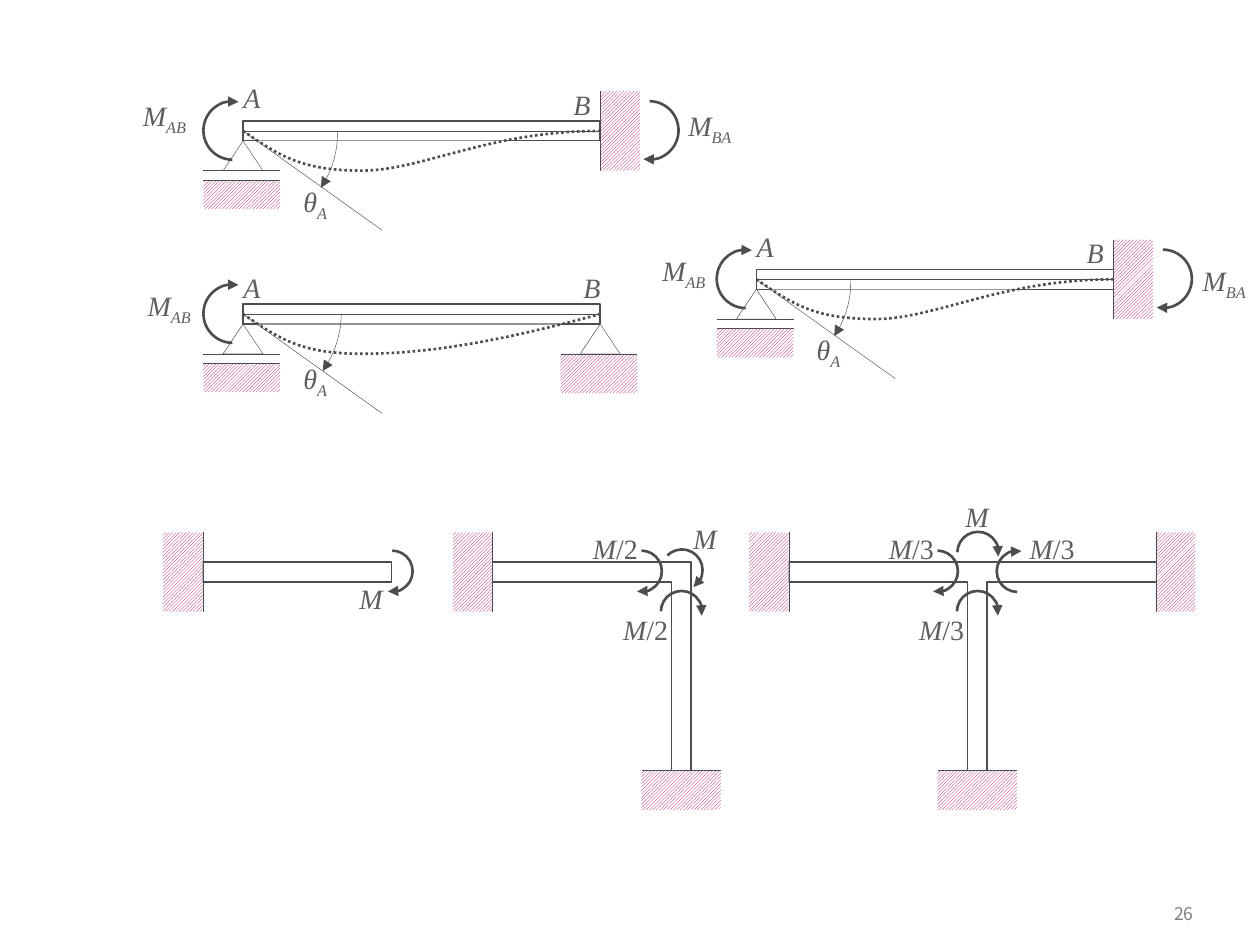
"""Build a slide of beam end moments, slopes and moment distribution at frame joints."""
from lxml.etree import SubElement
from pptx import Presentation
from pptx.dml.color import RGBColor
from pptx.enum.dml import MSO_LINE, MSO_PATTERN
from pptx.enum.shapes import MSO_CONNECTOR, MSO_SHAPE as SHAPE
from pptx.enum.text import MSO_ANCHOR, PP_ALIGN
from pptx.oxml.ns import qn
from pptx.util import Inches, Mm, Pt

INK = RGBColor(0x4D, 0x4D, 0x4D)
TEXT = RGBColor(0x5F, 0x5F, 0x5F)
GREY = RGBColor(0x80, 0x80, 0x80)
HATCH = RGBColor(0xA9, 0x01, 0x65)
WHITE = RGBColor(0xFF, 0xFF, 0xFF)
CELL = Mm(4)
THIN, BEAM, BOLD = 0.25, 0.75, 1.5
HALF_TURN = (162.373, 60.909)
STEEP, FLAT = (215.465, 20.368), (0.045, 21.413)


class Sketch:
    def __init__(self, prs):
        self.prs = prs
        self.slide = prs.slides.add_slide(prs.slide_layouts[6])

    def start(self, col, row):
        self.origin = col, row
        self.shapes = self.slide.shapes.add_group_shape().shapes

    def at(self, col, row):
        return round((self.origin[0] + col) * CELL), round((self.origin[1] + row) * CELL)

    def box(self, col, row, cols, rows):
        return *self.at(col, row), round(cols * CELL), round(rows * CELL)

    def stroke(self, sp, weight, arrow=False):
        sp.line.color.rgb = INK
        sp.line.width = Pt(weight)
        if arrow:
            ln = sp._element.spPr.find(qn("a:ln"))
            SubElement(ln, qn("a:tailEnd")).set("type", "triangle")

    def outline(self, kind, col, row, cols, rows, weight, arrow=False):
        sp = self.shapes.add_shape(kind, *self.box(col, row, cols, rows))
        sp.shadow.inherit = False
        sp.fill.background()
        self.stroke(sp, weight, arrow)
        return sp

    def beam(self, cols, weight=BEAM):
        self.outline(SHAPE.RECTANGLE, 0, -0.5, cols, 1, weight)

    def line(self, start, end):
        ln = self.shapes.add_connector(MSO_CONNECTOR.STRAIGHT, *self.at(*start), *self.at(*end))
        self.stroke(ln, THIN)
        SubElement(ln._element.spPr, qn("a:effectLst"))

    def hatch(self, col, row, cols, rows):
        sp = self.shapes.add_shape(SHAPE.RECTANGLE, *self.box(col, row, cols, rows))
        sp.shadow.inherit = False
        sp.fill.patterned()
        sp.fill.pattern = MSO_PATTERN.LIGHT_UPWARD_DIAGONAL
        sp.fill.fore_color.rgb = HATCH
        sp.fill.back_color.rgb = WHITE
        sp.line.fill.background()

    def wall(self, face, side):
        self.hatch(min(face, face + 2 * side), -2, 2, 4)
        self.line((face, -2), (face, 2))

    def ground(self, col, row, cols, rows=2):
        self.hatch(col, row, cols, rows)
        self.line((col, row), (col + cols, row))

    def pin(self, col):
        self.outline(SHAPE.ISOSCELES_TRIANGLE, col - 1, 0.5, 2, 1.5, THIN)

    def roller(self):
        self.ground(-2, 2.48, 3.87, 1.46)
        self.line((-2, 2), (1.87, 2))
        self.pin(0)

    def arc(self, col, row, size, angles, weight, turn=0):
        sp = self.outline(SHAPE.ARC, col, row, size, size, weight, arrow=True)
        sp.adjustments[0], sp.adjustments[1] = angles
        sp.rotation = turn

    def moment(self, col, row, turn, size=2.08):
        self.arc(col, row, size, HALF_TURN, BOLD, turn)

    def freeform(self, points):
        spots = [self.at(*point) for point in points]
        fb = self.shapes.build_freeform(*spots[0])
        fb.add_line_segments(spots[1:], close=points[0] == points[-1])
        sp = fb.convert_to_shape()
        sp.shadow.inherit = False
        return sp

    def frame(self, points):
        sp = self.freeform(points + points[:1])
        sp.fill.background()
        self.stroke(sp, BEAM)

    def deflection(self, points):
        sp = self.freeform(points)
        trace = sp._element.find(".//" + qn("a:path"))
        steps = trace.findall(qn("a:lnTo"))
        for i in range(0, len(steps), 3):
            bezier = SubElement(trace, qn("a:cubicBezTo"))
            for step in steps[i:i + 3]:
                bezier.append(step[0])
                trace.remove(step)
        sp.fill.solid()
        sp.fill.fore_color.rgb = WHITE
        tint = sp._element.spPr.find(qn("a:solidFill"))[0]
        SubElement(tint, qn("a:alpha")).set("val", "40000")
        self.stroke(sp, BOLD)
        sp.line.dash_style = MSO_LINE.ROUND_DOT

    def run(self, p, text, size, font, color):
        r = p.add_run()
        r.text = text
        r.font.size, r.font.name, r.font.color.rgb = Pt(size), font, color
        return r

    def label(self, col, row, cols, rows, symbol, sub="", plain=""):
        tf = self.shapes.add_textbox(*self.box(col, row, cols, rows)).text_frame
        tf.margin_left = tf.margin_right = tf.margin_top = tf.margin_bottom = 0
        tf.word_wrap = False
        tf.vertical_anchor = MSO_ANCHOR.MIDDLE
        p = tf.paragraphs[0]
        p.alignment = PP_ALIGN.CENTER
        for text in filter(None, (symbol, sub, plain)):
            r = self.run(p, text, 16, "Times New Roman", TEXT)
            r.font.italic = text != plain
            if text == sub:
                r.font._element.set("baseline", "-25000")

    def page_number(self, text):
        w, h = self.prs.slide_width, self.prs.slide_height
        place = [round(v) for v in (0.886 * w, 0.945 * h, 0.071 * w, 0.044 * h)]
        tf = self.slide.shapes.add_textbox(*place).text_frame
        tf.word_wrap = True
        tf.vertical_anchor = MSO_ANCHOR.MIDDLE
        p = tf.paragraphs[0]
        p.alignment = PP_ALIGN.RIGHT
        self.run(p, text, 10, "Noto Sans CJK KR", GREY)

    def span(self, origin, fixed, m_ab, a_row, b_col, m_ba=None, weight=BEAM):
        self.start(*origin)
        self.beam(18, weight)
        tail = [(12.4, 0), (18, 0)] if fixed else [(12.5, 1.5), (18, 0)]
        self.deflection([(0, 0), (1.9, 1.3), (3, 2), (6, 2), (9, 2)] + tail)
        self.line((0, 0), (18, 0))
        self.roller()
        if fixed:
            self.wall(18, 1)
            self.moment(19, -1.5, 0, 2.95)
            self.label(*m_ba, 2.35, 1.71, "M", "BA")
            self.arc(-5.02, -4.76, 9.78, STEEP, THIN)
        else:
            self.pin(18)
            self.ground(16, 2, 3.87)
            self.arc(-5.02, -5.02, 9.97, FLAT, THIN)
        self.label(3, 2.79 if fixed else 2.48, 1.27, 1.71, "θ", "A")
        self.line((0, 0), (7, 5))
        self.moment(-2, -1.5, 180, 2.95)
        self.label(*m_ab, 2.35, 1.71, "M", "AB")
        self.label(0, a_row, 0.89, 1.71, "A")
        self.label(b_col, -2.22, 0.89, 1.71, "B")

    def joint(self, origin, points, share):
        self.start(*origin)
        self.frame(points)
        self.wall(0, -1)
        self.ground(7.5, 10, 4)
        self.moment(6.45, -1.08, 0)
        self.moment(8.48, 0.95, 270)
        for col, row in ((4.4, -2.35), (5.93, 1.71)):
            self.label(col, row, 3.56, 2.35, "M", plain=share)


def main():
    prs = Presentation()
    prs.slide_width, prs.slide_height = Inches(10), Inches(7.5)
    s = Sketch(prs)
    s.page_number("26")
    s.span((12.25, 6.6), True, (-5.14, -1.52), -2.54, 16.63, (22.35, -1.02))
    s.span((12.25, 15.83), False, (-4.9, -1.2), -2.22, 17.14)

    s.start(10.22, 28.83)
    s.beam(9.5)
    s.wall(0, -1)
    s.moment(8.5, -1.08, 0)
    s.label(7.24, 0.13, 2.48, 2.35, "M")

    leg = [(9, 10), (9, 0.5), (0, 0.5)]
    s.joint((24.83, 28.83), [(0, -0.5), (10, -0.5), (10, 10)] + leg, "/2")
    s.moment(8.5, -1.14, 314.4)
    s.label(9.46, -2.86, 2.48, 2.35, "M")

    tee = [(0, -0.5), (18.6, -0.5), (18.6, 0.5), (10, 0.5), (10, 10)]
    s.joint((39.75, 28.83), tee + leg, "/3")
    s.wall(18.5, 1)
    s.moment(8.5, -2.03, 270)
    s.moment(10.48, -1.08, 180)
    s.label(8, -4, 2.98, 2.35, "M")
    s.label(11.49, -2.35, 3.56, 2.35, "M", plain="/3")

    s.span((38.12, 14.08), True, (-4.83, -1.2), -2.54, 16.63, (22.4, -0.7), THIN)
    prs.save("out.pptx")


if __name__ == "__main__":
    main()
